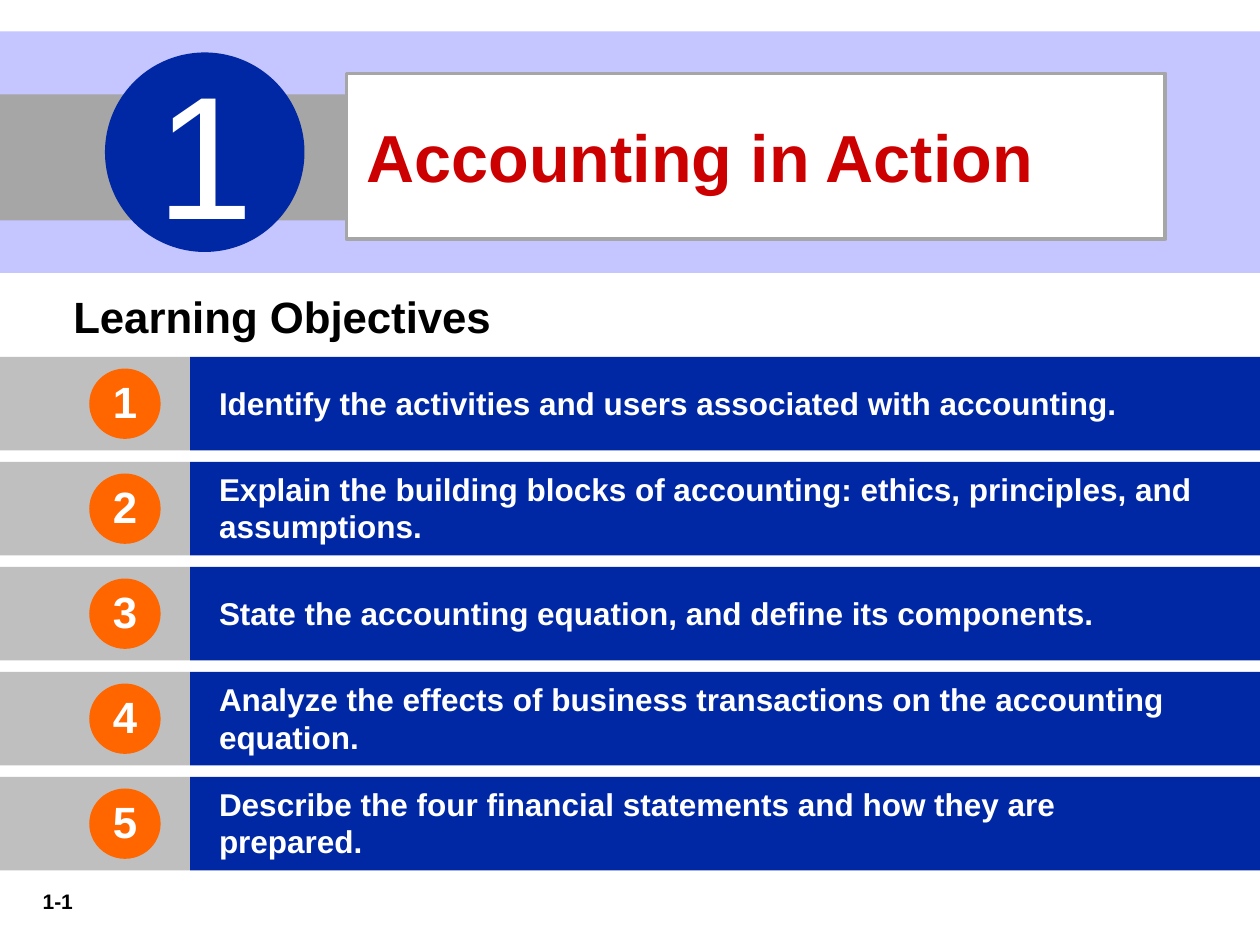
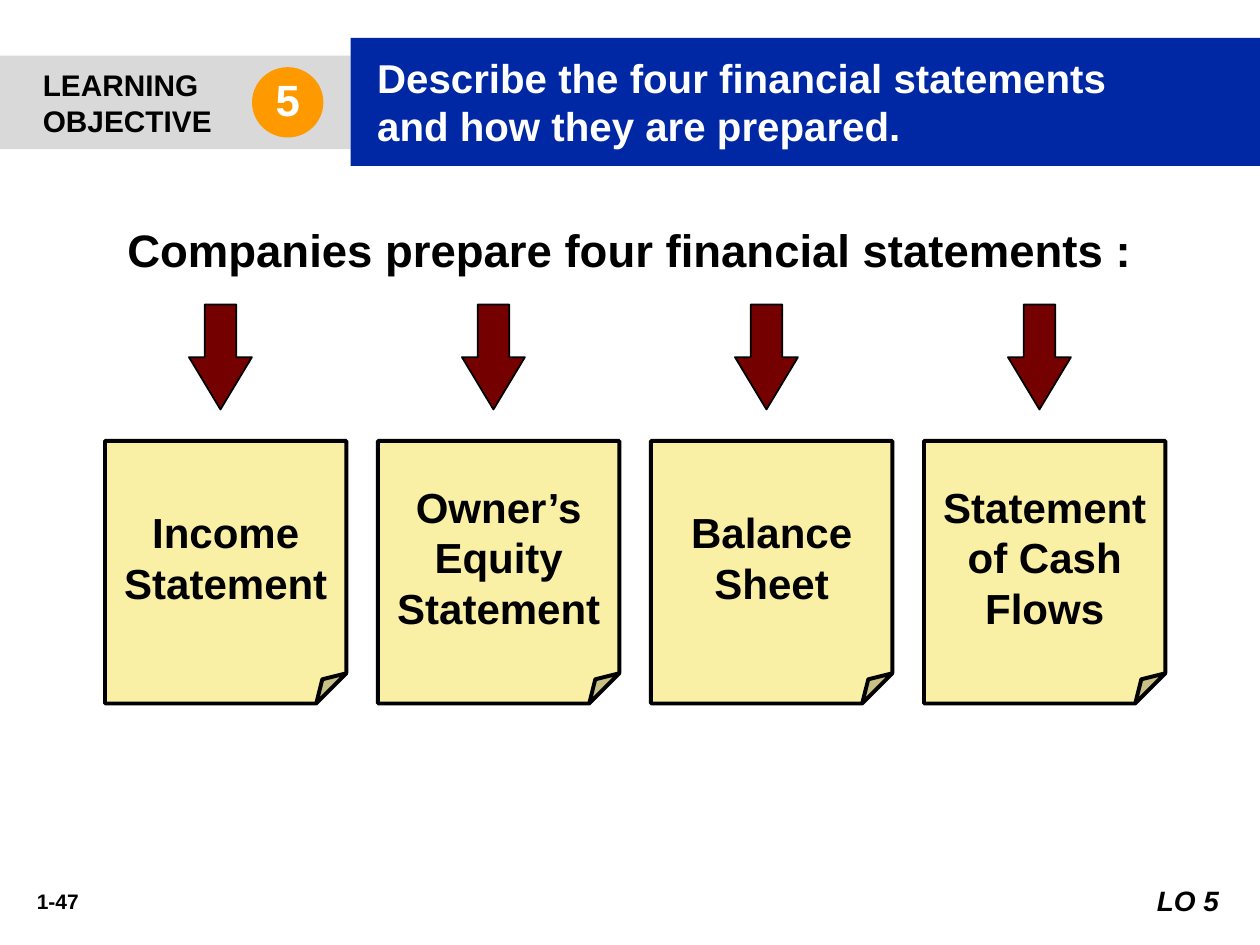
from typing import NamedTuple

from lxml.etree import SubElement
from pptx import Presentation
from pptx.dml.color import RGBColor
from pptx.enum.shapes import MSO_SHAPE
from pptx.enum.text import MSO_ANCHOR, MSO_AUTO_SIZE, PP_ALIGN
from pptx.oxml.ns import qn
from pptx.util import Inches, Pt

COLUMNS, ROWS = 120, 90
WIDTH, HEIGHT = Inches(10), Inches(7.5)
FONT = "Arial"
NAVY, WHITE, BLACK, RED = "0027A4", "FFFFFF", "000000", "CC0000"
LAVENDER, ORANGE, AMBER = "C5C5FF", "FF6600", "FF9900"
DARK_GREY, MID_GREY, LIGHT_GREY = "A6A6A6", "BFBFBF", "D9D9D9"
MAROON, CREAM = "740000", "F9EFA5"
OBJECTIVES = [
    ["Identify the activities and users associated with accounting."],
    ["Explain the building blocks of accounting: ethics, principles, and assumptions."],
    ["State the accounting equation, and define its components."],
    ["Analyze the effects of business transactions on the accounting equation."],
    ["Describe the four financial statements and how they are", "prepared."],
]
STATEMENTS = ["Income Statement", "Owner’s Equity Statement", "Balance Sheet",
              "Statement of Cash Flows"]


class Box(NamedTuple):
    """An area measured in grid columns and rows."""
    left: float
    top: float
    width: float
    height: float

    def area(self, column, row, width, height):
        """Return an area offset from this box's corner."""
        return Box(self.left + column, self.top + row, width, height)

    def lengths(self):
        """Return left, top, width and height as slide lengths."""
        across, down = WIDTH / COLUMNS, HEIGHT / ROWS
        return (round(self.left * across), round(self.top * down),
                round(self.width * across), round(self.height * down))


def colour(hex_value):
    """Turn a hex string into a colour."""
    return RGBColor.from_string(hex_value)


def paint(target, fill, line=None, line_width=0):
    """Fill and outline a shape."""
    target.fill.solid()
    target.fill.fore_color.rgb = colour(fill)
    if line:
        target.line.color.rgb = colour(line)
        target.line.width = Pt(line_width)
    else:
        target.line.fill.background()


def write(target, lines, size, ink, align=PP_ALIGN.LEFT, bold=True, italic=False,
          insets=(0.1, 0.05, 0.1, 0.05), anchor=MSO_ANCHOR.MIDDLE, spacing=None):
    """Write one paragraph per line into a shape."""
    frame = target.text_frame
    frame.word_wrap = True
    frame.auto_size = MSO_AUTO_SIZE.NONE
    frame.vertical_anchor = anchor
    (frame.margin_left, frame.margin_top,
     frame.margin_right, frame.margin_bottom) = map(Inches, insets)
    for index, line in enumerate(lines):
        paragraph = frame.add_paragraph() if index else frame.paragraphs[0]
        paragraph.alignment = align
        if spacing:
            paragraph.line_spacing = spacing
        run = paragraph.add_run()
        run.text = line
        run.font.name = FONT
        run.font.size = Pt(size)
        run.font.bold = bold
        run.font.italic = italic
        run.font.color.rgb = colour(ink)


def add_panel(slide, box, fill, kind=MSO_SHAPE.RECTANGLE, line=None, line_width=0):
    """Add a flat shape."""
    panel = slide.shapes.add_shape(kind, *box.lengths())
    panel.shadow.inherit = False
    paint(panel, fill, line, line_width)
    return panel


def adjust(panel, **shares):
    """Set the named adjustments of a preset shape."""
    guides = panel.element.find(".//" + qn("a:avLst"))
    for name, share in shares.items():
        SubElement(guides, qn("a:gd"), name=name, fmla=f"val {round(share * 100000)}")


def add_label(slide, box, words, size, **style):
    """Add a black line of text without a background."""
    label = slide.shapes.add_textbox(*box.lengths())
    write(label, [words], size, BLACK, anchor=MSO_ANCHOR.TOP, **style)


def add_badge(slide, box, number, fill, size=25, bold=True):
    """Add a numbered disc."""
    disc = add_panel(slide, box, fill, MSO_SHAPE.OVAL)
    write(disc, [number], size, WHITE, PP_ALIGN.CENTER, bold, insets=(0.1, 0, 0.1, 0.05))


def place_title(slide, box, lines, size, ink, fill, insets, line=None, line_width=0):
    """Move the title to its box, in front of what is drawn so far."""
    title = slide.shapes.title
    title.element.getparent().append(title.element)
    title.left, title.top, title.width, title.height = box.lengths()
    paint(title, fill, line, line_width)
    write(title, lines, size, ink, insets=insets)


def start_slide(deck, page):
    """Add a title-only slide with its page number."""
    slide = deck.slides.add_slide(deck.slide_layouts[5])
    add_label(slide, Box(1, 84, 9, 3.6), page, 12, align=PP_ALIGN.CENTER)
    return slide


def chapter_banner(slide, box, number, name):
    """Draw the chapter number and name on a wide band."""
    add_panel(slide, box, LAVENDER)
    add_panel(slide, box.area(0, 6, 33, 12), DARK_GREY)
    place_title(slide, box.area(33, 4, 78, 15.75), [name], 38, RED, WHITE,
                (0.16, 0.05, 0.1, 0.05), DARK_GREY, 2.25)
    add_badge(slide, box.area(10, 2, 19, 19), number, NAVY, 100, False)


def objective_list(slide, box, objectives):
    """Stack one numbered bar per objective."""
    pitch, bar_height, tab_width = box.height / len(objectives), 8.9, 18.1
    for index, lines in enumerate(objectives):
        row = box.area(0, index * pitch, box.width, bar_height)
        add_panel(slide, row.area(0, 0, tab_width, bar_height), MID_GREY)
        bar = add_panel(slide, row.area(tab_width, 0, box.width - tab_width, bar_height), NAVY)
        write(bar, lines, 18, WHITE, insets=(0.23, 0.03, 0.1, 0.05))
        add_badge(slide, row.area(8.5, 1.1, 6.8, 6.7), str(index + 1), ORANGE)


def objective_header(slide, box, number, lines):
    """Draw the learning objective tab beside the slide title."""
    tab_width = 33.4
    tab = add_panel(slide, box.area(0, 1.7, tab_width, 8.9), LIGHT_GREY)
    write(tab, ["LEARNING", "OBJECTIVE"], 17, BLACK, insets=(0.34, 0.05, 0.09, 0.05))
    place_title(slide, box.area(tab_width, 0, box.width - tab_width, box.height), lines,
                23, WHITE, NAVY, (0.21, 0.04, 0.09, 0.05))
    add_badge(slide, box.area(24, 2.8, 6.8, 6.7), number, AMBER)


def statement_notes(slide, box, statements):
    """Set out a note under an arrow for each statement."""
    pitch = 26
    for index, name in enumerate(statements):
        column = box.area(index * pitch, 0, pitch, box.height)
        arrow = add_panel(slide, column.area(8, 0, 6, 10), MAROON,
                          MSO_SHAPE.DOWN_ARROW, BLACK, 1)
        adjust(arrow, adj1=0.5, adj2=0.83)
        note = add_panel(slide, column.area(0, 13, 23, 25), CREAM,
                         MSO_SHAPE.FOLDED_CORNER, BLACK, 2.25)
        adjust(note, adj=0.125)
        write(note, [name], 24, BLACK, PP_ALIGN.CENTER)


def chapter_slide(deck):
    """Build the chapter opening."""
    slide = start_slide(deck, "1-1")
    add_label(slide, Box(5.8, 26, 55.2, 6.6), "Learning Objectives", 25, spacing=1.2)
    objective_list(slide, Box(0, 34, COLUMNS, 50), OBJECTIVES)
    chapter_banner(slide, Box(0, 3, COLUMNS, 23), "1", "Accounting in Action")


def statements_slide(deck):
    """Build the overview of the four statements."""
    slide = start_slide(deck, "1-47")
    add_label(slide, Box(9, 20.6, 102, 6.4), "Companies prepare four financial statements :",
              26, align=PP_ALIGN.CENTER)
    objective_header(slide, Box(0, 3.6, COLUMNS, 12.2), "5",
                     ["Describe the four financial statements", "and how they are prepared."])
    statement_notes(slide, Box(10, 29, 101, 38), STATEMENTS)
    add_label(slide, Box(108, 83.6, 10, 4.4), "LO 5", 16, align=PP_ALIGN.RIGHT,
              italic=True, insets=(0.1, 0.05, 0.16, 0.05))


def main():
    """Build and save the deck."""
    deck = Presentation()
    deck.slide_width, deck.slide_height = WIDTH, HEIGHT
    chapter_slide(deck)
    statements_slide(deck)
    deck.save("out.pptx")


if __name__ == "__main__":
    main()
